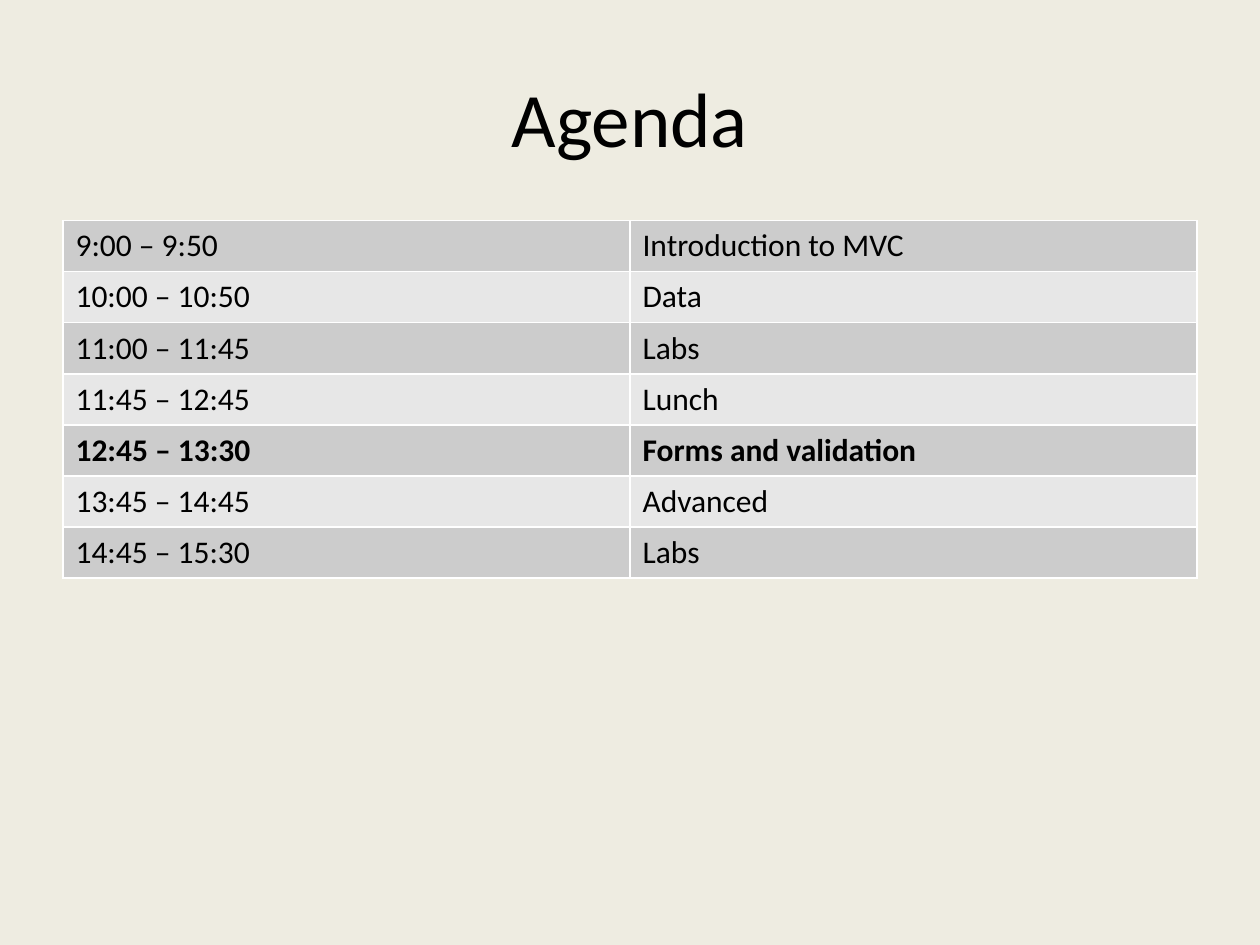
"""Build a one-slide agenda with a timetable."""
from lxml import etree
from pptx import Presentation, util as u
from pptx.dml.color import RGBColor
from pptx.enum import text
from pptx.oxml import ns

TITLE = "Agenda"
SESSIONS = [
    ("9:00 – 9:50", "Introduction to MVC"),
    ("10:00 – 10:50", "Data"),
    ("11:00 – 11:45", "Labs"),
    ("11:45 – 12:45", "Lunch"),
    ("12:45 – 13:30", "Forms and validation"),
    ("13:45 – 14:45", "Advanced"),
    ("14:45 – 15:30", "Labs"),
]
CURRENT = "Forms and validation"
COLORS = {"paper": "EEECE1", "ink": "000000", "odd": "CCCCCC",
          "even": "E7E7E7", "grid": "FFFFFF"}
FONT = "Calibri"
WIDTH, HEIGHT = u.Inches(10), u.Inches(7.5)
MARGIN = int(WIDTH * 0.05)
BODY = WIDTH - 2 * MARGIN
TABLE_HEIGHT = u.Inches(2.84)


def paint(fill, color):
    fill.solid()
    fill.fore_color.rgb = RGBColor.from_string(COLORS[color])


def write(frame, words, size, bold=False):
    frame.text = words
    font = frame.paragraphs[0].runs[0].font
    font.name, font.size, font.bold = FONT, u.Pt(size), bold
    font.color.rgb = RGBColor.from_string(COLORS["ink"])


def outline(cell):
    properties = cell._tc.get_or_add_tcPr()
    for side in ("lnL", "lnR", "lnT", "lnB"):
        line = etree.SubElement(properties, ns.qn(f"a:{side}"), w=str(u.Pt(1)))
        solid = etree.SubElement(line, ns.qn("a:solidFill"))
        etree.SubElement(solid, ns.qn("a:srgbClr"), val=COLORS["grid"])


deck = Presentation()
deck.slide_width, deck.slide_height = WIDTH, HEIGHT
slide = deck.slides.add_slide(deck.slide_layouts[6])
paint(slide.background.fill, "paper")

heading = slide.shapes.add_textbox(MARGIN, u.Inches(0.3), BODY, u.Inches(1.25)).text_frame
heading.word_wrap = True
heading.vertical_anchor = text.MSO_ANCHOR.MIDDLE
write(heading, TITLE, 44)
heading.paragraphs[0].alignment = text.PP_ALIGN.CENTER

timetable = slide.shapes.add_table(len(SESSIONS), 2, MARGIN, u.Inches(1.75),
                                   BODY, TABLE_HEIGHT).table
timetable.first_row = timetable.horz_banding = False
for row, session in enumerate(SESSIONS):
    for column, words in enumerate(session):
        cell = timetable.cell(row, column)
        write(cell.text_frame, words, 18, CURRENT in session)
        outline(cell)
        paint(cell.fill, "even" if row % 2 else "odd")

deck.save("out.pptx")
